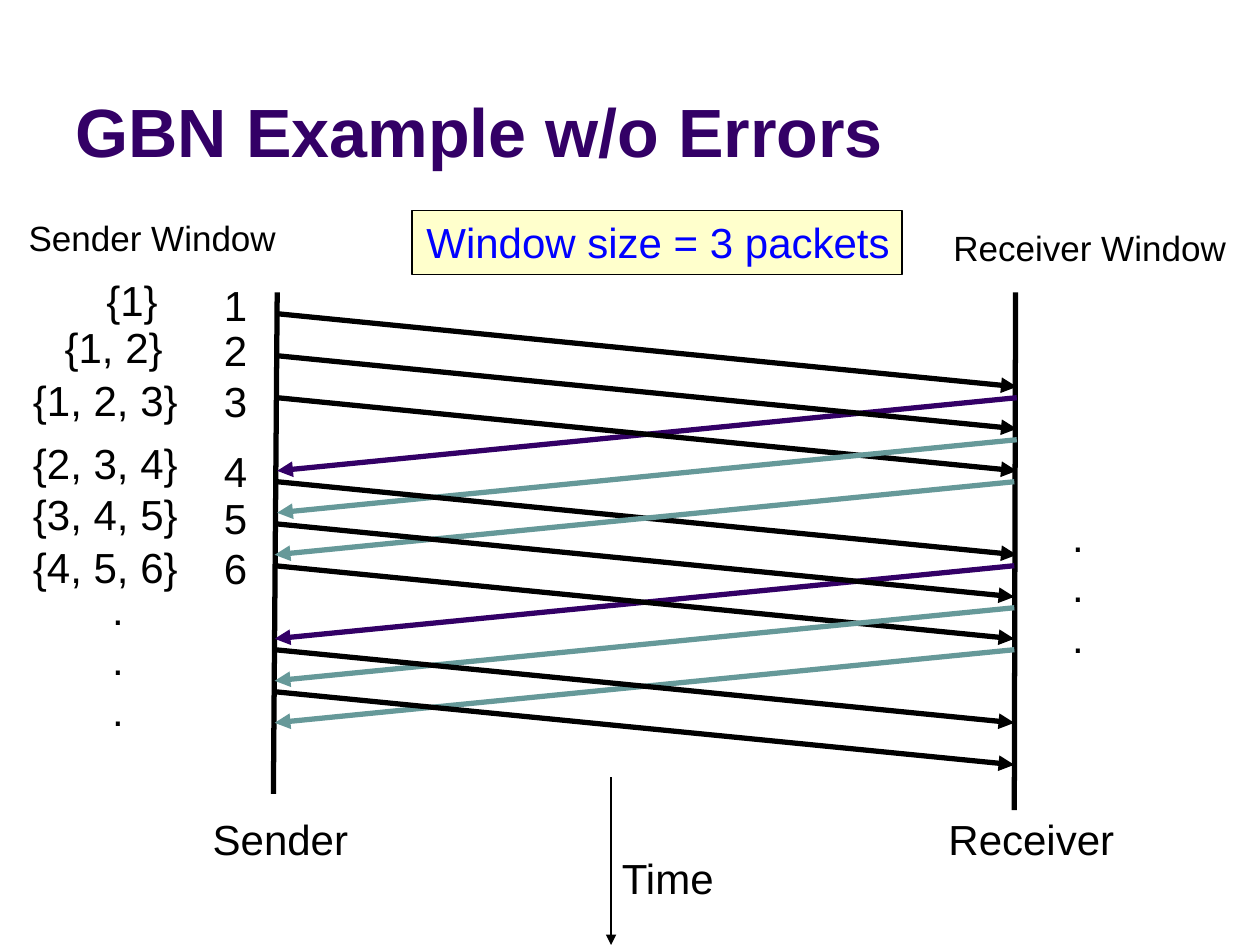
import pptx
import pptx.dml.color
import pptx.enum.shapes
import pptx.enum.text
import pptx.oxml
import pptx.oxml.ns
import pptx.util

Inches, Pt = pptx.util.Inches, pptx.util.Pt
RGBColor = pptx.dml.color.RGBColor
PP_ALIGN = pptx.enum.text.PP_ALIGN
ANCHOR = pptx.enum.text.MSO_ANCHOR

BLACK = RGBColor(0x00, 0x00, 0x00)
PURPLE = RGBColor(0x33, 0x00, 0x66)
TEAL = RGBColor(0x66, 0x99, 0x99)
BLUE = RGBColor(0x00, 0x00, 0xFF)
CREAM = RGBColor(0xFF, 0xFF, 0xCC)

TITLE = "GBN Example w/o Errors"
WINDOW_SIZE = "Window size = 3 packets"

WIDE, NARROW = (2.2, 8.07), (2.18, 8.05)
FIRST_SEND, TIME_STEP, TRAVEL = 2.49, 1 / 3, 0.58
MESSAGES = [
    ("packet", 0, BLACK, WIDE),
    ("ack", 2, PURPLE, WIDE),
    ("packet", 1, BLACK, WIDE),
    ("packet", 2, BLACK, WIDE),
    ("ack", 3, TEAL, WIDE),
    ("packet", 4, BLACK, WIDE),
    ("ack", 4, TEAL, NARROW),
    ("ack", 6, PURPLE, NARROW),
    ("packet", 5, BLACK, NARROW),
    ("packet", 6, BLACK, NARROW),
    ("ack", 7, TEAL, NARROW),
    ("ack", 8, TEAL, NARROW),
    ("packet", 8, BLACK, NARROW),
    ("packet", 9, BLACK, NARROW),
]
SENDS = [
    ("1", 2.17, "{1}", (0.74, 2.13, 0.61)),
    ("2", 2.53, "{1, 2}", (0.37, 2.5, 1.02)),
    ("3", 2.93, "{1, 2, 3}", (0.11, 2.92, 1.4)),
    ("4", 3.49, "{2, 3, 4}", (0.11, 3.42, 1.4)),
    ("5", 3.86, "{3, 4, 5}", (0.11, 3.83, 1.4)),
    ("6", 4.26, "{4, 5, 6}", (0.11, 4.25, 1.4)),
]
CAPTIONS = [
    ("Time", (4.83, 6.72, 0.94, 0.5)),
    ("Sender", (1.58, 6.41, 1.29, 0.5)),
    ("Receiver", (7.42, 6.41, 1.53, 0.5)),
]
HEADINGS = [
    ("Sender Window", (0.01, 1.67, 2.28, 0.43)),
    ("Receiver Window", (7.33, 1.75, 2.5, 0.43)),
]
DOTS = [(0.79, 4.58, 0.29, 1.31), (8.41, 4, 0.29, 1.31)]


def put_text(sp, lines, size=24, color=BLACK, align=PP_ALIGN.RIGHT, anchor=ANCHOR.TOP):
    tf = sp.text_frame
    frame_format = {
        "word_wrap": False,
        "auto_size": pptx.enum.text.MSO_AUTO_SIZE.SHAPE_TO_FIT_TEXT,
        "vertical_anchor": anchor,
    }
    for name, value in frame_format.items():
        setattr(tf, name, value)
    for i, line in enumerate(lines):
        p = tf.add_paragraph() if i else tf.paragraphs[0]
        p.alignment = align
        r = p.add_run()
        r.text = line
        format_font(r.font, size, color)


def format_font(font, size, color, bold=False):
    for name, value in {"name": "Arial", "size": Pt(size), "bold": bold}.items():
        setattr(font, name, value)
    font.color.rgb = color


def add_label(s, lines, box, **text_format):
    sp = s.shapes.add_textbox(*map(Inches, box))
    put_text(sp, lines, **text_format)


def add_line(s, start, end, color=BLACK, width=3, arrow=True):
    line = s.shapes.add_connector(
        pptx.enum.shapes.MSO_CONNECTOR.STRAIGHT, *map(Inches, start + end))
    line.line.color.rgb = color
    line.line.width = Pt(width)
    if arrow:
        ln = line.line._get_or_add_ln()
        ln.append(pptx.oxml.parse_xml(
            f'<a:tailEnd {pptx.oxml.ns.nsdecls("a")} type="triangle"/>'))
    line._element.spPr.append(pptx.oxml.parse_xml(
        f'<a:effectLst {pptx.oxml.ns.nsdecls("a")}/>'))


def add_title(s):
    sp = s.shapes.title
    box = dict(left=0.5, top=0.13, width=9, height=1.28)
    for name, value in box.items():
        setattr(sp, name, Inches(value))
    tf = sp.text_frame
    tf.vertical_anchor = ANCHOR.BOTTOM
    p = tf.paragraphs[0]
    p.alignment = PP_ALIGN.LEFT
    r = p.add_run()
    r.text = TITLE
    format_font(r.font, 39, PURPLE, bold=True)


def add_window_size(s):
    sp = s.shapes.add_shape(
        pptx.enum.shapes.MSO_SHAPE.RECTANGLE, *map(Inches, (3.27, 1.67, 3.89, 0.51)))
    sp.shadow.inherit = False
    sp.fill.solid()
    sp.fill.fore_color.rgb = CREAM
    sp.line.color.rgb = BLACK
    sp.line.width = Pt(0.75)
    put_text(sp, [WINDOW_SIZE], color=BLUE)


def main():
    prs = pptx.Presentation()
    prs.slide_width, prs.slide_height = Inches(10), Inches(7.5)
    s = prs.slides.add_slide(prs.slide_layouts[5])

    add_title(s)
    add_window_size(s)
    add_line(s, (4.85, 6.17), (4.85, 7.5), width=1)
    add_line(s, (2.2, 2.32), (2.17, 6.3), arrow=False)
    add_line(s, (8.06, 2.32), (8.05, 6.43), arrow=False)

    for kind, step, color, (sender, receiver) in MESSAGES:
        y = FIRST_SEND + step * TIME_STEP
        x1, x2 = (sender, receiver) if kind == "packet" else (receiver, sender)
        add_line(s, (x1, y), (x2, y + TRAVEL), color)

    for number, top, window, (left, window_top, width) in SENDS:
        add_label(s, [number], (1.68, top, 0.37, 0.49))
        add_label(s, [window], (left, window_top, width, 0.5))
    for text, box in CAPTIONS:
        add_label(s, [text], box, align=PP_ALIGN.CENTER, anchor=ANCHOR.MIDDLE)
    for text, box in HEADINGS:
        add_label(s, [text], box, size=20)
    for box in DOTS:
        add_label(s, ["."] * 3, box)

    prs.save("out.pptx")


if __name__ == "__main__":
    main()
